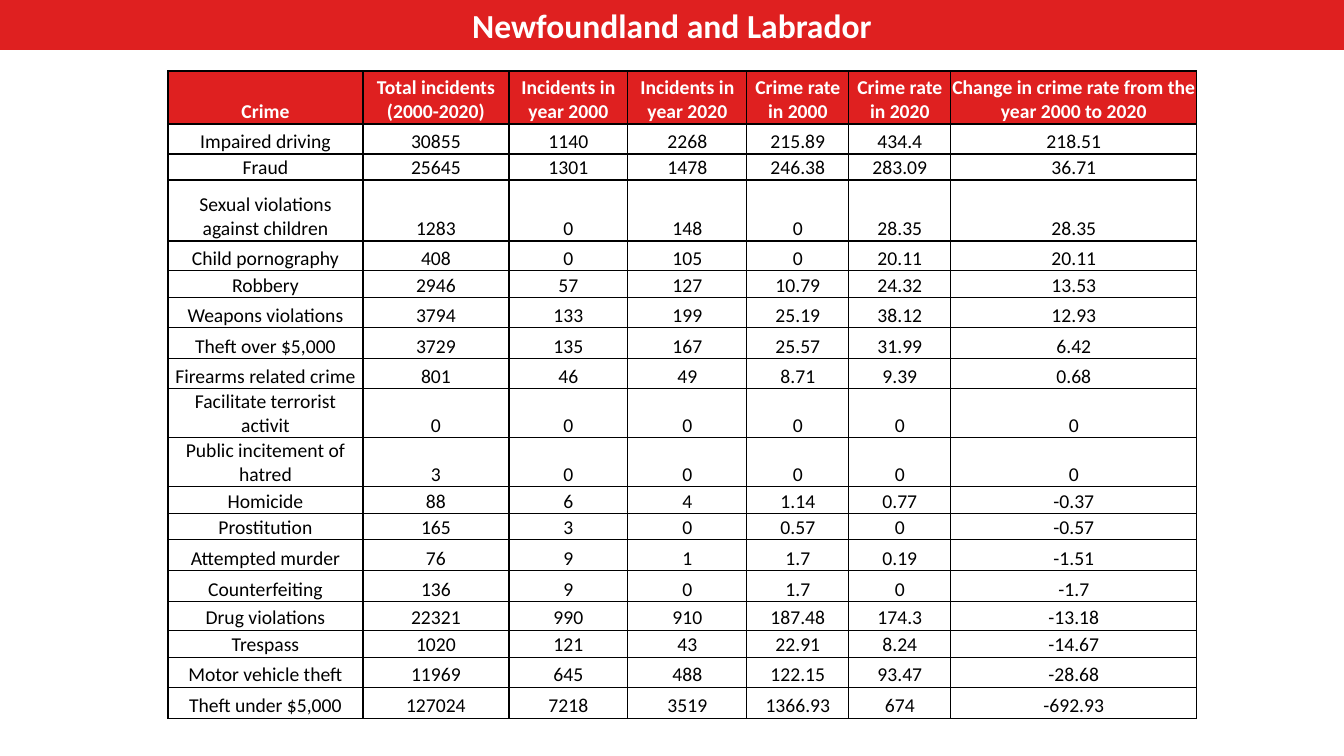
from typing import NamedTuple

from lxml import etree
from pptx import Presentation
from pptx.dml.color import RGBColor
from pptx.enum.shapes import MSO_SHAPE
from pptx.enum.text import MSO_ANCHOR, PP_ALIGN
from pptx.oxml.ns import qn
from pptx.util import Emu, Pt

RECTANGLE = MSO_SHAPE.RECTANGLE
CENTER = PP_ALIGN.CENTER
MIDDLE, BOTTOM = MSO_ANCHOR.MIDDLE, MSO_ANCHOR.BOTTOM

SLIDE_W, SLIDE_H = 1344, 756
EMU_PER_PX = 12192000 / SLIDE_W
FONT = "Calibri"
RED, WHITE, BLACK = "DF2020", "FFFFFF", "000000"

TABLE_LEFT, TABLE_TOP = 168, 71
COLUMN_WIDTHS = (195, 146, 119, 119, 102, 102, 246)


class CrimeRow(NamedTuple):
    height: int
    crime: str
    total: str
    incidents_2000: str
    incidents_2020: str
    rate_2000: str
    rate_2020: str
    change: str


ROWS = (
    CrimeRow(53, "Crime", "Total incidents (2000-2020)", "Incidents in year 2000",
             "Incidents in year 2020", "Crime rate in 2000", "Crime rate in 2020",
             "Change in crime rate from the year 2000 to 2020"),
    CrimeRow(30, "Impaired driving", "30855", "1140", "2268", "215.89", "434.4", "218.51"),
    CrimeRow(26, "Fraud", "25645", "1301", "1478", "246.38", "283.09", "36.71"),
    CrimeRow(61, "Sexual violations against children", "1283", "0", "148", "0", "28.35", "28.35"),
    CrimeRow(30, "Child pornography", "408", "0", "105", "0", "20.11", "20.11"),
    CrimeRow(27, "Robbery", "2946", "57", "127", "10.79", "24.32", "13.53"),
    CrimeRow(30, "Weapons violations", "3794", "133", "199", "25.19", "38.12", "12.93"),
    CrimeRow(31, "Theft over $5,000", "3729", "135", "167", "25.57", "31.99", "6.42"),
    CrimeRow(30, "Firearms related crime", "801", "46", "49", "8.71", "9.39", "0.68"),
    CrimeRow(48, "Facilitate terrorist activit", "0", "0", "0", "0", "0", "0"),
    CrimeRow(48, "Public incitement of hatred", "3", "0", "0", "0", "0", "0"),
    CrimeRow(27, "Homicide", "88", "6", "4", "1.14", "0.77", "-0.37"),
    CrimeRow(26, "Prostitution", "165", "3", "0", "0.57", "0", "-0.57"),
    CrimeRow(31, "Attempted murder", "76", "9", "1", "1.7", "0.19", "-1.51"),
    CrimeRow(31, "Counterfeiting", "136", "9", "0", "1.7", "0", "-1.7"),
    CrimeRow(29, "Drug violations", "22321", "990", "910", "187.48", "174.3", "-13.18"),
    CrimeRow(27, "Trespass", "1020", "121", "43", "22.91", "8.24", "-14.67"),
    CrimeRow(30, "Motor vehicle theft", "11969", "645", "488", "122.15", "93.47", "-28.68"),
    CrimeRow(31, "Theft under $5,000", "127024", "7218", "3519", "1366.93", "674", "-692.93"),
)


def px(length: int) -> Emu:
    return Emu(round(length * EMU_PER_PX))


def rgb(color: str) -> RGBColor:
    return RGBColor.from_string(color)


def write_text(tf, text: str, size: int, color: str, bold: bool) -> None:
    p = tf.paragraphs[0]
    p.text = text
    p.alignment = CENTER
    p.font.name = FONT
    p.font.size = Pt(size)
    p.font.bold = bold
    p.font.color.rgb = rgb(color)


def add_borders(cell) -> None:
    """Draw a one-point black line on every side of the cell."""
    tc_pr = cell._tc.get_or_add_tcPr()
    for index, side in enumerate(("lnL", "lnR", "lnT", "lnB")):
        line = etree.Element(qn(f"a:{side}"), w=str(Pt(1)))
        fill = etree.SubElement(line, qn("a:solidFill"))
        etree.SubElement(fill, qn("a:srgbClr"), val=BLACK)
        tc_pr.insert(index, line)


def format_cell(cell, text: str, is_header: bool) -> None:
    cell.vertical_anchor = BOTTOM
    cell.margin_left = cell.margin_right = cell.margin_top = px(1)
    cell.margin_bottom = 0
    if is_header:
        cell.fill.solid()
        cell.fill.fore_color.rgb = rgb(RED)
    else:
        cell.fill.background()
    write_text(cell.text_frame, text, 14, WHITE if is_header else BLACK, is_header)
    add_borders(cell)


def add_title_bar(s, title: str) -> None:
    sp = s.shapes.add_shape(RECTANGLE, 0, 0, px(SLIDE_W), px(50))
    sp.shadow.inherit = False
    sp.fill.solid()
    sp.fill.fore_color.rgb = rgb(RED)
    sp.line.fill.background()
    tf = sp.text_frame
    tf.word_wrap = True
    tf.vertical_anchor = MIDDLE
    write_text(tf, title, 24, WHITE, True)


def add_crime_table(s) -> None:
    width, height = sum(COLUMN_WIDTHS), sum(row.height for row in ROWS)
    table = s.shapes.add_table(len(ROWS), len(COLUMN_WIDTHS), px(TABLE_LEFT), px(TABLE_TOP),
                               px(width), px(height)).table
    table.horz_banding = False
    for column, column_width in zip(table.columns, COLUMN_WIDTHS):
        column.width = px(column_width)
    for index, (table_row, (row_height, *texts)) in enumerate(zip(table.rows, ROWS)):
        table_row.height = px(row_height)
        for cell, text in zip(table_row.cells, texts):
            format_cell(cell, text, index == 0)


def main() -> None:
    prs = Presentation()
    prs.slide_width, prs.slide_height = px(SLIDE_W), px(SLIDE_H)
    s = prs.slides.add_slide(prs.slide_layouts[6])
    add_title_bar(s, "Newfoundland and Labrador")
    add_crime_table(s)
    prs.save("out.pptx")


if __name__ == "__main__":
    main()
